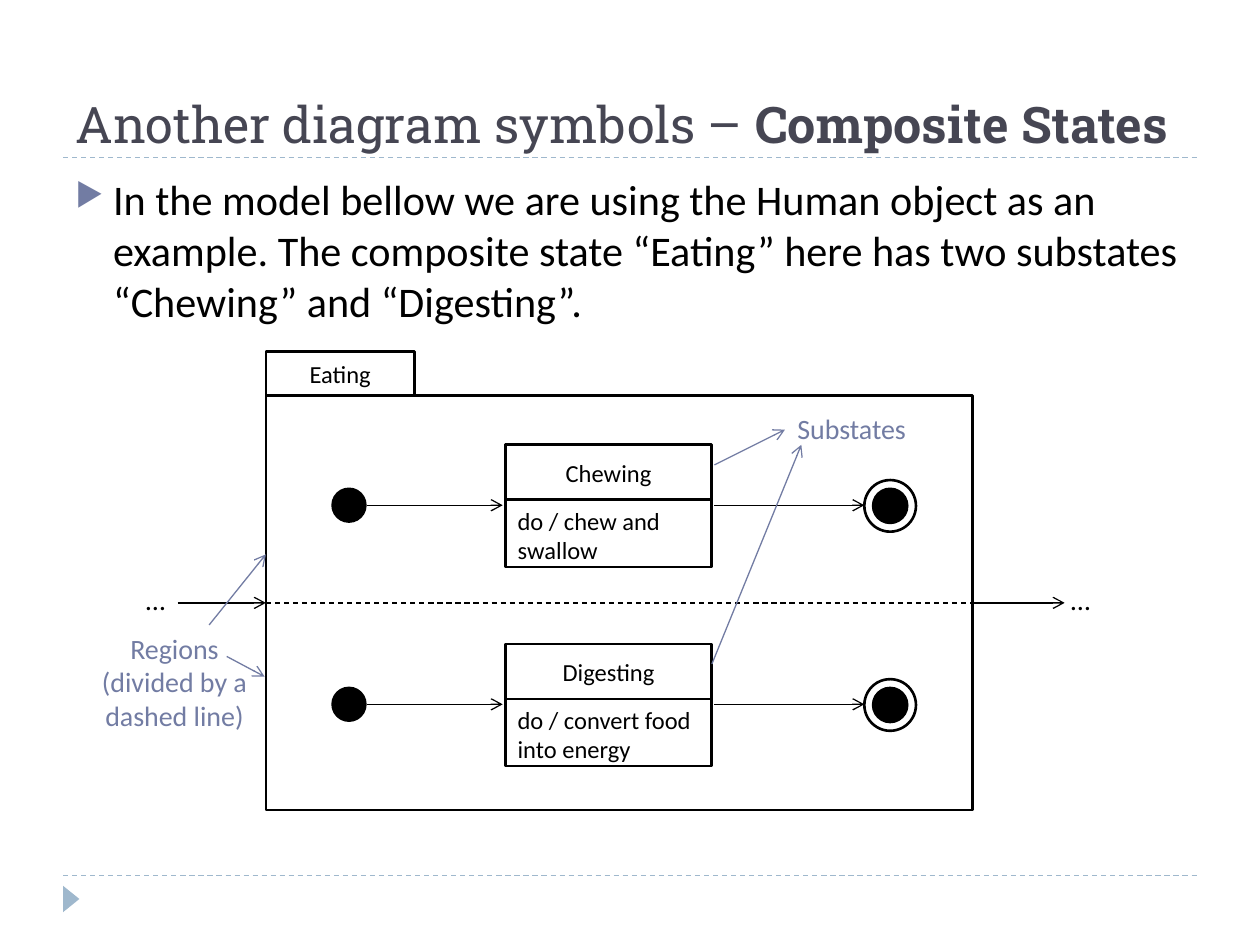
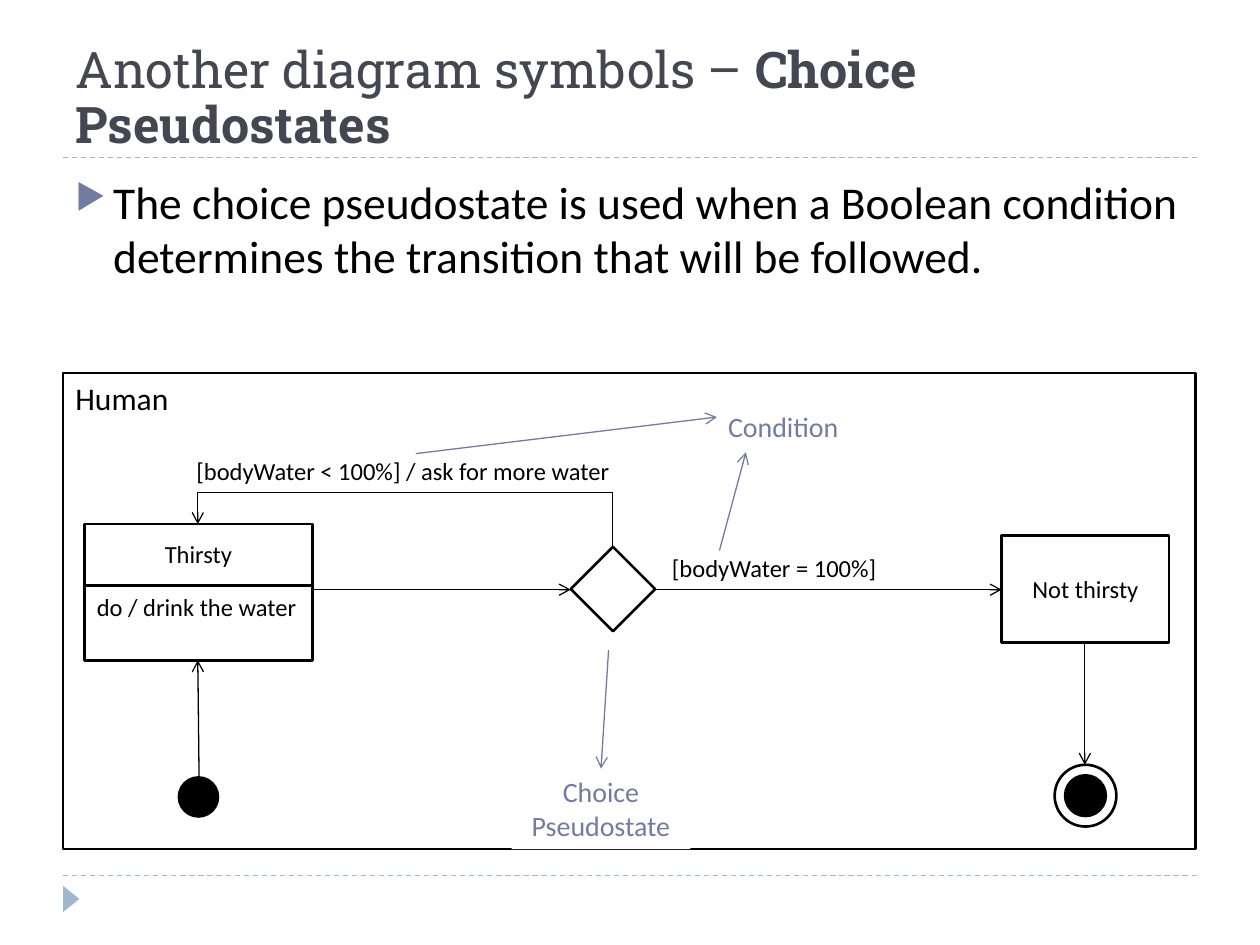
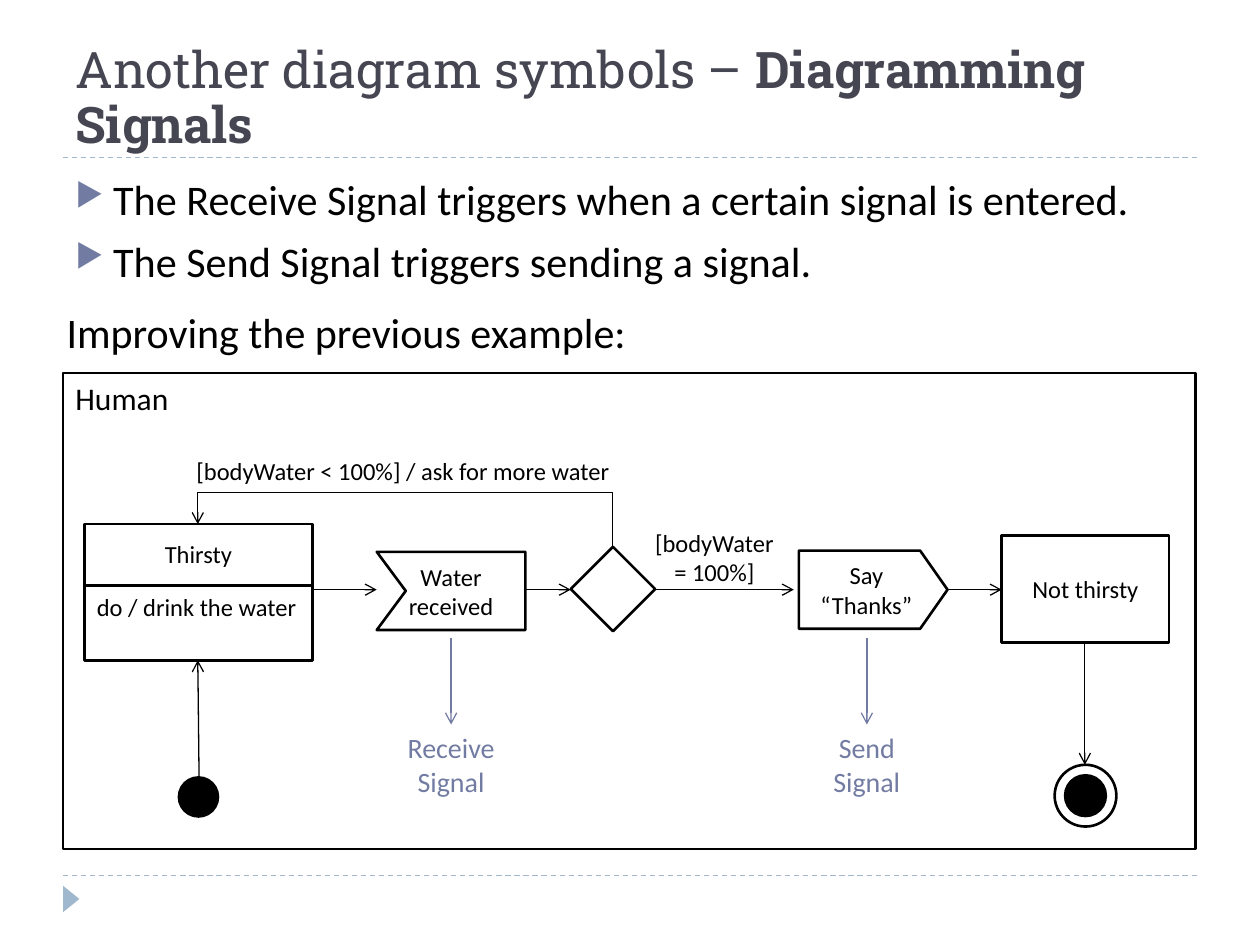
from dataclasses import dataclass

import pptx
import pptx.dml.color
import pptx.enum.dml
import pptx.enum.shapes
import pptx.enum.text
import pptx.oxml
import pptx.oxml.ns
import pptx.util
from lxml import etree

Inches = pptx.util.Inches
Pt = pptx.util.Pt
SHAPE = pptx.enum.shapes.MSO_SHAPE
CONNECTOR = pptx.enum.shapes.MSO_CONNECTOR
ALIGN = pptx.enum.text.PP_ALIGN
ANCHOR = pptx.enum.text.MSO_ANCHOR
qn = pptx.oxml.ns.qn

COLORS = {
    "title": "464653",
    "ink": "000000",
    "paper": "FFFFFF",
    "note": "727CA3",
    "rule": "9FB8CD",
}
BODY_FONT, TITLE_FONT = "Calibri", "Roboto Slab"


@dataclass
class Box:
    """A rectangle in inches; what it holds is placed from its top left corner."""
    left: float
    top: float
    width: float
    height: float

    def inner(self, x, y, width, height):
        return Box(self.left + x, self.top + y, width, height)

    def point(self, x, y):
        return self.left + x, self.top + y

    def emu(self):
        return [Inches(v) for v in (self.left, self.top, self.width, self.height)]


def color(name):
    return pptx.dml.color.RGBColor.from_string(COLORS[name])


# ---- Text ----
def add_bullet(paragraph):
    props = paragraph._p.get_or_add_pPr()
    props.set("marL", str(Inches(0.3)))
    props.set("indent", str(-Inches(0.3)))
    bullet_color = etree.SubElement(props, qn("a:buClr"))
    etree.SubElement(bullet_color, qn("a:srgbClr"), val=COLORS["note"])
    etree.SubElement(props, qn("a:buSzPct"), val="76000")
    etree.SubElement(props, qn("a:buChar"), char="▶")


def write(shape, *paragraphs, size=14, ink="ink", font=BODY_FONT, align=ALIGN.LEFT,
          anchor=ANCHOR.TOP, before=0, spacing=None, bullets=False, inset_top=0.05,
          inset_bottom=0.05):
    """Fill a shape with paragraphs; a tuple is a plain run and a bold run."""
    frame = shape.text_frame
    frame.word_wrap = True
    frame.vertical_anchor = anchor
    frame.margin_top, frame.margin_bottom = Inches(inset_top), Inches(inset_bottom)
    for index, content in enumerate(paragraphs):
        paragraph = frame.add_paragraph() if index else frame.paragraphs[0]
        paragraph.alignment = align
        paragraph.space_before = Pt(before)
        if spacing:
            paragraph.line_spacing = spacing
        if bullets:
            add_bullet(paragraph)
        runs = content if isinstance(content, tuple) else (content,)
        for position, words in enumerate(runs):
            run = paragraph.add_run()
            run.text = words
            run.font.name, run.font.size = font, Pt(size)
            run.font.bold = position == 1
            run.font.color.rgb = color(ink)


def add_text(slide, box, *paragraphs, **formats):
    write(slide.shapes.add_textbox(*box.emu()), *paragraphs, **formats)


# ---- Shapes and lines ----
def paint(shape, fill=None, line="ink"):
    shape.shadow.inherit = False
    if fill:
        shape.fill.solid()
        shape.fill.fore_color.rgb = color(fill)
    else:
        shape.fill.background()
    if line:
        shape.line.color.rgb = color(line)
        shape.line.width = Pt(1.5)
    else:
        shape.line.fill.background()
    return shape


def add_shape(slide, kind, box, fill=None, line="ink"):
    return paint(slide.shapes.add_shape(kind, *box.emu()), fill, line)


def style_line(connector, ink, dashed, arrow):
    connector.line.color.rgb = color(ink)
    connector.line.width = Pt(0.75)
    if dashed:
        connector.line.dash_style = pptx.enum.dml.MSO_LINE.DASH
    if arrow:
        etree.SubElement(connector.line._get_or_add_ln(), qn("a:tailEnd"), type="arrow")
    etree.SubElement(connector._element.spPr, qn("a:effectLst"))


def add_line(slide, start, end, ink="ink", dashed=False, arrow=True):
    ends = [Inches(v) for v in (*start, *end)]
    connector = slide.shapes.add_connector(CONNECTOR.STRAIGHT, *ends)
    style_line(connector, ink, dashed, arrow)


def add_return_arrow(slide, start, end, rise):
    """An elbow that climbs by rise from start, runs left and drops to end."""
    (x1, y1), (x2, y2) = start, end
    middle_x, middle_y = (x1 + x2) / 2, (y1 + y2) / 2
    half_w, half_h = (y1 - y2) / 2, (x1 - x2) / 2
    ends = (middle_x - half_w, middle_y + half_h, middle_x + half_w, middle_y - half_h)
    connector = slide.shapes.add_connector(CONNECTOR.ELBOW, *[Inches(v) for v in ends])
    props = connector._element.spPr
    props.find(qn("a:xfrm")).set("rot", str(270 * 60000))
    geometry = props.find(qn("a:prstGeom"))
    guides = geometry.find(qn("a:avLst"))
    if guides is None:
        guides = etree.SubElement(geometry, qn("a:avLst"))
    bend = round(rise / (y1 - y2) * 100000)
    etree.SubElement(guides, qn("a:gd"), name="adj1", fmla=f"val {bend}")
    style_line(connector, "ink", False, True)


# ---- State diagram symbols ----
def add_note(slide, box, words, align=ALIGN.CENTER):
    label = add_shape(slide, SHAPE.RECTANGLE, box, "paper", None)
    write(label, words, size=16, ink="note", align=align)


def add_state(slide, box, name, action):
    header = box.inner(0, 0, box.width, 0.9 * box.height)
    activity = box.inner(0, 0.45 * box.height, box.width, 0.55 * box.height)
    write(add_shape(slide, SHAPE.RECTANGLE, header, "paper"), name,
          align=ALIGN.CENTER, inset_top=0.11 * box.height)
    write(add_shape(slide, SHAPE.RECTANGLE, activity, "paper"), action)


def add_simple_state(slide, box, name):
    write(add_shape(slide, SHAPE.RECTANGLE, box, "paper"), name,
          align=ALIGN.CENTER, anchor=ANCHOR.MIDDLE)


def add_start(slide, box):
    add_shape(slide, SHAPE.OVAL, box, "ink")


def add_final(slide, box):
    add_shape(slide, SHAPE.OVAL, box, "paper")
    core, gap = box.width * 0.66, box.width * 0.17
    add_shape(slide, SHAPE.OVAL, box.inner(gap, gap, core, core), "ink")


# ---- Shared frame of every slide ----
def new_slide(deck, topic, *points, size):
    slide = deck.slides.add_slide(deck.slide_layouts[6])
    for y in (6.95, 1.25):
        add_line(slide, (0.5, y), (9.5, y), ink="rule", dashed=True, arrow=False)
    marker = add_shape(slide, SHAPE.ISOSCELES_TRIANGLE, Box(0.46, 7.07, 0.21, 0.13),
                       "rule", None)
    marker.rotation = 90
    add_text(slide, Box(0.5, 0.17, 9, 1.08), ("Another diagram symbols – ", topic),
             size=28.8, ink="title", font=TITLE_FONT, anchor=ANCHOR.BOTTOM,
             spacing=0.92, inset_bottom=0.02)
    add_text(slide, Box(0.5, 1.33, 9, 1.16), *points, size=size, before=6, bullets=True)
    return slide


# ---- Composite state ----
def draw_region(slide, box, name, action):
    """One lane: start, state with an action, final state."""
    middle = 0.48
    add_state(slide, box.inner(1.9, 0, 1.64, 0.97), name, action)
    add_start(slide, box.inner(0.53, middle - 0.13, 0.26, 0.26))
    add_line(slide, box.point(0.8, middle), box.point(1.88, middle))
    add_final(slide, box.inner(4.75, middle - 0.2, 0.41, 0.41))
    add_line(slide, box.point(3.56, middle), box.point(4.75, middle))


def draw_composite(slide, box):
    lanes = (("Chewing", "do / chew and swallow"),
             ("Digesting", "do / convert food into energy"))
    for index, (name, action) in enumerate(lanes):
        draw_region(slide, box.inner(0, 0.39 + 1.58 * index, box.width, 0.97), name, action)
    # Frame, its tab and the divider
    divider = box.height / 2
    add_shape(slide, SHAPE.RECTANGLE, box)
    add_line(slide, box.point(0, divider), box.point(box.width, divider),
             dashed=True, arrow=False)
    add_simple_state(slide, box.inner(0, -0.35, 1.18, 0.35), "Eating")
    # Ways in and out
    for line_from, line_to, dots in ((-0.7, 0, -1.05), (box.width, 6.34, 6.29)):
        add_line(slide, box.point(line_from, divider), box.point(line_to, divider))
        add_text(slide, box.inner(dots, divider - 0.21, 0.54, 0.3), "…", size=16)
    # Notes
    add_note(slide, box.inner(4.12, 0.08, 1.21, 0.37), "Substates", ALIGN.LEFT)
    add_note(slide, box.inner(-1.44, 1.82, 1.43, 0.91), "Regions (divided by a dashed line)")
    for start, end in (((3.56, 0.55), (4.12, 0.27)), ((3.54, 2.13), (4.25, 0.39)),
                       ((-0.45, 1.82), (0, 1.26)), ((-0.31, 2.07), (-0.01, 2.23))):
        add_line(slide, box.point(*start), box.point(*end), ink="note")


# ---- Thirsty human, shared by two slides ----
FLOW_Y = 1.72


def draw_human(slide, box, guard_box, stops):
    """Draw the machine; stops are the x ranges of the arrows along the flow."""
    add_shape(slide, SHAPE.DIAMOND, box.inner(4.03, FLOW_Y - 0.34, 0.67, 0.67))
    add_state(slide, box.inner(0.17, 1.2, 1.81, 1.08), "Thirsty", "do / drink the water")
    add_simple_state(slide, box.inner(7.45, 1.29, 1.33, 0.85), "Not thirsty")
    for start, end in stops:
        add_line(slide, box.point(start, FLOW_Y), box.point(end, FLOW_Y))
    # Loop back
    add_return_arrow(slide, box.point(4.36, 1.38), box.point(1.07, 1.2), 0.43)
    add_text(slide, box.inner(0.96, 0.61, 4.25, 0.34),
             "[bodyWater < 100%] / ask for more water")
    # Start and end
    add_final(slide, box.inner(7.87, 3.11, 0.49, 0.49))
    add_line(slide, box.point(8.11, 2.14), box.point(8.11, 3.11))
    add_start(slide, box.inner(0.92, 3.21, 0.31, 0.31))
    add_line(slide, box.point(1.08, 3.21), box.point(1.07, 2.28))
    add_text(slide, guard_box, "[bodyWater = 100%]", align=ALIGN.CENTER)
    write(add_shape(slide, SHAPE.RECTANGLE, box), "Human", size=18)


def draw_choice(slide, box):
    draw_human(slide, box, box.inner(4.58, 1.38, 2.13, 0.34), ((4.7, 7.45), (1.98, 4.03)))
    add_note(slide, box.inner(5.18, 0.24, 1.21, 0.37), "Condition", ALIGN.LEFT)
    add_note(slide, box.inner(3.56, 3.14, 1.42, 0.64), "Choice Pseudostate")
    for start, end in (((2.8, 0.64), (5.19, 0.35)), ((5.21, 1.41), (5.42, 0.63)),
                       ((4.33, 2.2), (4.27, 3.14))):
        add_line(slide, box.point(*start), box.point(*end), ink="note")


def add_receive_signal(slide, box, words):
    notch = [(0, 0), (0.23, box.height / 2), (0, box.height), (box.width, box.height)]
    corners = [tuple(Inches(v) for v in box.point(x, y)) for x, y in notch]
    builder = slide.shapes.build_freeform(*[Inches(v) for v in box.point(box.width, 0)])
    builder.add_line_segments(corners, close=True)
    write(paint(builder.convert_to_shape()), words, align=ALIGN.CENTER,
          anchor=ANCHOR.MIDDLE)


def add_send_signal(slide, box, words):
    signal = add_shape(slide, SHAPE.PENTAGON, box)
    signal.adjustments[0] = 0.35
    write(signal, words, align=ALIGN.CENTER, anchor=ANCHOR.MIDDLE)


def draw_signals(slide, box):
    add_send_signal(slide, box.inner(5.84, FLOW_Y - 0.31, 1.18, 0.62), "Say “Thanks”")
    add_receive_signal(slide, box.inner(2.49, FLOW_Y - 0.3, 1.18, 0.62), "Water received")
    draw_human(slide, box, box.inner(4.58, 1.18, 1.18, 0.57),
               ((4.7, 5.8), (1.98, 2.49), (3.67, 4.03), (7.02, 7.45)))
    for middle, width, words in ((3.08, 1.42, "Receive Signal"), (6.38, 0.96, "Send Signal")):
        add_note(slide, box.inner(middle - width / 2, 2.79, width, 0.64), words)
        add_line(slide, box.point(middle, 2.1), box.point(middle, 2.79), ink="note")


# ---- Slides ----
deck = pptx.Presentation()
deck.slide_width, deck.slide_height = Inches(10), Inches(7.5)
human_box = Box(0.5, 2.96, 8.99, 3.78)

composite = new_slide(
    deck, "Composite States",
    "In the model bellow we are using the Human object as an example. The composite "
    "state “Eating” here has two substates “Chewing” and “Digesting”.", size=24.1)
draw_composite(composite, Box(2.11, 3.14, 5.61, 3.29))

choice = new_slide(
    deck, "Choice Pseudostates",
    "The choice pseudostate is used when a Boolean condition determines the transition "
    "that will be followed.", size=26)
draw_choice(choice, human_box)

signals = new_slide(
    deck, "Diagramming Signals",
    "The Receive Signal triggers when a certain signal is entered.",
    "The Send Signal triggers sending a signal.", size=24.1)
draw_signals(signals, human_box)
add_text(signals, Box(0.43, 2.38, 5.03, 0.5), "Improving the previous example:",
         size=24, before=6)

deck.save("out.pptx")
